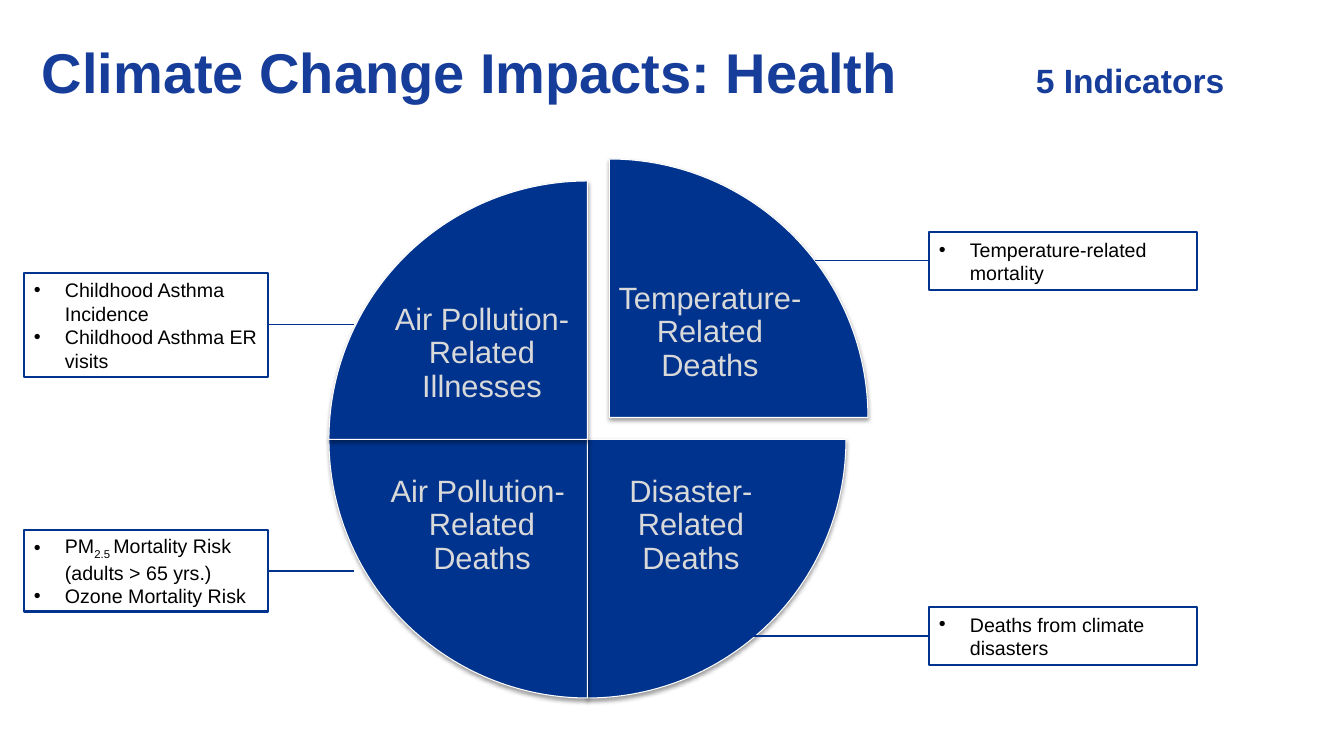
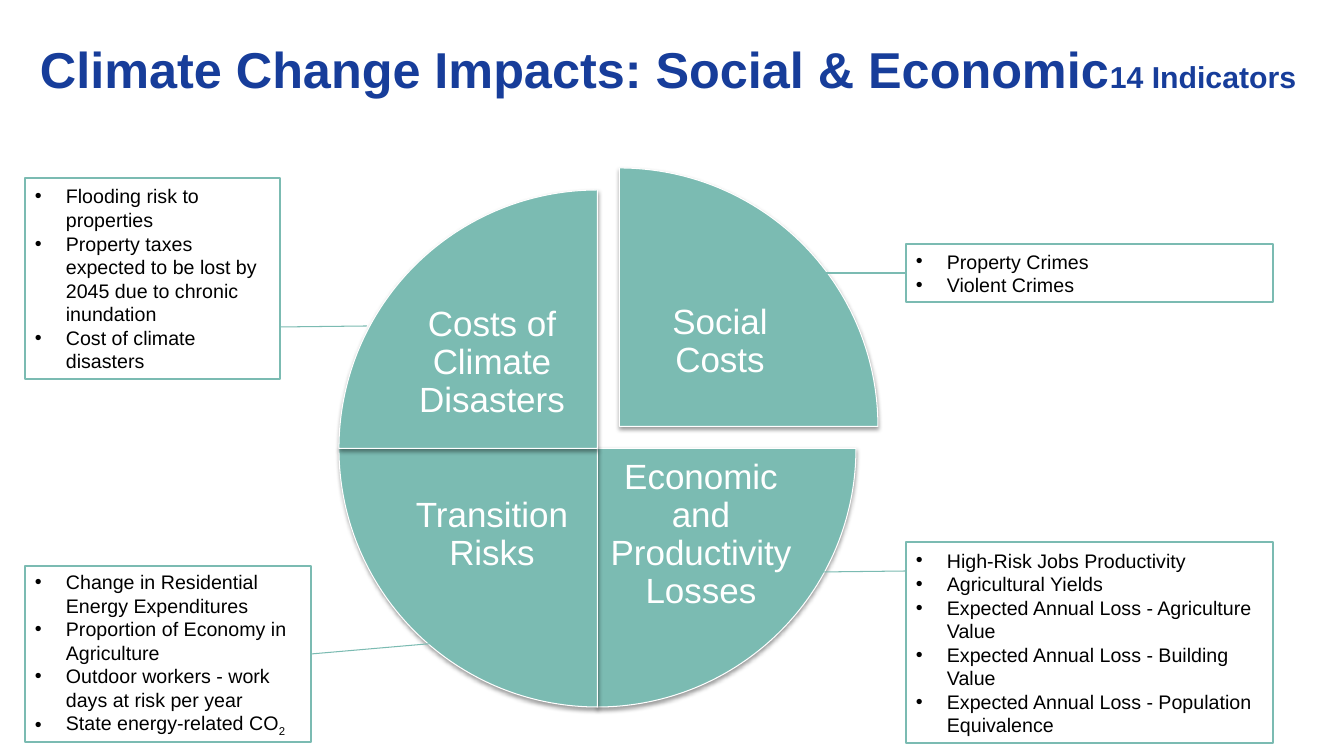
from lxml.etree import SubElement
from pptx import Presentation
from pptx.dml.color import RGBColor
from pptx.enum.shapes import MSO_CONNECTOR as Connector, MSO_SHAPE as Shape
from pptx.enum.text import MSO_ANCHOR as Anchor, PP_ALIGN as Align
from pptx.oxml.ns import qn
from pptx.util import Emu, Pt

# Shared style
SLIDE_W, SLIDE_H = 1344, 756
EMU_PER_PX = 12192000 / SLIDE_W
FONT = "Arial"
TITLE_BLUE = RGBColor(0x17, 0x3D, 0x9A)
NAVY = RGBColor(0x00, 0x33, 0x8D)
TEAL = RGBColor(0x7B, 0xBB, 0xB2)
PALE_GREY = RGBColor(0xD9, 0xD9, 0xD9)
WHITE = RGBColor(0xFF, 0xFF, 0xFF)
BLACK = RGBColor(0x00, 0x00, 0x00)

# Wheel geometry, clockwise from the pulled-out top right quarter
DIAMETER = 517
PULL = 22
LABEL_W, LABEL_H = 190, 154
LABEL_OFFSETS = [(286, 75), (267, 268), (58, 268), (58, 96)]
QUARTER_ANGLES = [(162, 0), (0, 54), (54, 108), (108, 162)]  # 54 = 90 degrees

LEFT_SIDE, RIGHT_SIDE = 1, 3
BULLET_INDENT = 31
COUNT_TAB = 994


def px(*lengths):
    return [Emu(round(length * EMU_PER_PX)) for length in lengths]


class ImpactDeck:
    def __init__(self):
        self.prs = Presentation()
        self.prs.slide_width, self.prs.slide_height = px(SLIDE_W, SLIDE_H)
        self.slide = None
        self.accent = None

    def new_slide(self, accent):
        self.slide = self.prs.slides.add_slide(self.prs.slide_layouts[6])
        self.accent = accent

    def run(self, paragraph, text, size, color, bold=False, subscript=False):
        run = paragraph.add_run()
        run.text = text
        font = run.font
        font.name, font.size, font.bold = FONT, Pt(size), bold
        font.color.rgb = color
        if subscript:
            run._r.get_or_add_rPr().set("baseline", "-25000")

    def text_frame(self, box, inset=None):
        frame = box.text_frame
        frame.word_wrap = True
        if inset is not None:
            frame.margin_left = frame.margin_right = inset
            frame.margin_top = frame.margin_bottom = inset
        return frame

    def title(self, left, top, heading, count, size):
        box = self.slide.shapes.add_textbox(*px(left, top, 1262, 76))
        line = self.text_frame(box, 0).paragraphs[0]
        line.line_spacing = 0.95
        if count.startswith("\t"):
            tabs = SubElement(line._p.get_or_add_pPr(), qn("a:tabLst"))
            SubElement(tabs, qn("a:tab"), pos=str(px(COUNT_TAB)[0]), algn="l")
        self.run(line, heading, size, TITLE_BLUE, bold=True)
        self.run(line, count, size * 0.6, TITLE_BLUE, bold=True)

    def quarter(self, left, top, angles):
        pie = self.slide.shapes.add_shape(
            Shape.PIE, *px(left, top, DIAMETER, DIAMETER))
        pie.adjustments[0], pie.adjustments[1] = angles
        pie.fill.solid()
        pie.fill.fore_color.rgb = self.accent
        pie.line.color.rgb = WHITE
        pie.line.width = Pt(0.75)
        # Soft shadow below the quarter
        pie.shadow.inherit = False
        effects = pie._element.spPr.find(qn("a:effectLst"))
        shadow = SubElement(effects, qn("a:outerShdw"), blurRad="40000",
                            dist="20000", dir="5400000", rotWithShape="0")
        black = SubElement(shadow, qn("a:srgbClr"), val="000000")
        SubElement(black, qn("a:alpha"), val="38000")

    def label(self, left, top, text, size, color):
        box = self.slide.shapes.add_textbox(*px(left, top, LABEL_W, LABEL_H))
        frame = self.text_frame(box, px(3)[0])
        frame.vertical_anchor = Anchor.MIDDLE
        paragraph = frame.paragraphs[0]
        paragraph.alignment = Align.CENTER
        paragraph.line_spacing = 0.9
        for i, part in enumerate(text.split("\n")):
            if i:
                paragraph.add_line_break()
            self.run(paragraph, part, size, color)

    def wheel(self, left, top, topics, size, color):
        quarters = zip(topics, QUARTER_ANGLES, LABEL_OFFSETS)
        for i, (topic, angles, (dx, dy)) in enumerate(quarters):
            pull = 0 if i else PULL
            self.quarter(left + pull, top - pull, angles)
            self.label(left + dx, top + dy, topic, size, color)

    def bullet(self, paragraph, text):
        """Write one bullet; every second part between bars is a subscript."""
        paragraph.alignment = Align.LEFT
        props = paragraph._p.get_or_add_pPr()
        indent = px(BULLET_INDENT)[0]
        props.set("marL", str(indent))
        props.set("indent", str(-indent))
        SubElement(props, qn("a:buFont"), typeface=FONT)
        SubElement(props, qn("a:buChar"), char="•")
        for i, part in enumerate(text.split("|")):
            self.run(paragraph, part, 14, BLACK, subscript=i % 2 == 1)

    def callout(self, area, indicators, tip, leader_y=None):
        """Indicator box with a leader to tip, from mid-side or leader_y."""
        left, top, width, height = area
        box = self.slide.shapes.add_shape(Shape.RECTANGLE, *px(*area))
        box.shadow.inherit = False
        box.fill.solid()
        box.fill.fore_color.rgb = WHITE
        box.line.color.rgb = self.accent
        box.line.width = Pt(2)
        frame = self.text_frame(box)
        frame.vertical_anchor = Anchor.MIDDLE
        for i, indicator in enumerate(indicators):
            paragraph = frame.add_paragraph() if i else frame.paragraphs[0]
            self.bullet(paragraph, indicator)

        # Leader line
        side = LEFT_SIDE if tip[0] < left else RIGHT_SIDE
        start_x = left if side == LEFT_SIDE else left + width
        start_y = leader_y or top + height // 2
        leader = self.slide.shapes.add_connector(
            Connector.STRAIGHT, *px(start_x, start_y, *tip))
        if leader_y is None:
            leader.begin_connect(box, side)
        leader.line.color.rgb = self.accent
        leader.line.width = Pt(0.75)
        SubElement(leader._element.spPr, qn("a:effectLst"))


def health(deck):
    deck.new_slide(NAVY)
    deck.title(42, 42, "Climate Change Impacts: Health", "\t5 Indicators", 40)
    deck.wheel(329, 181, [
        "Temperature-Related Deaths",
        "Disaster-Related Deaths",
        "Air Pollution- \nRelated Deaths",
        "Air Pollution-Related Illnesses",
    ], 22, PALE_GREY)
    deck.callout((929, 232, 268, 58), ["Temperature-related mortality"],
                 (815, 261))
    deck.callout((929, 607, 268, 58), ["Deaths from climate disasters"],
                 (751, 636))
    deck.callout((24, 530, 244, 82), [
        "PM|2.5 |Mortality Risk (adults > 65 yrs.)",
        "Ozone Mortality Risk",
    ], (354, 571))
    deck.callout((24, 273, 244, 104), [
        "Childhood Asthma Incidence",
        "Childhood Asthma ER visits",
    ], (354, 325))


def social_and_economic(deck):
    deck.new_slide(TEAL)
    deck.title(40, 43, "Climate Change Impacts: Social & Economic",
               "14 Indicators", 36)
    deck.wheel(339, 190, [
        "Social Costs",
        "Economic and Productivity Losses",
        "Transition Risks",
        "Costs of Climate Disasters",
    ], 25, WHITE)
    deck.callout((906, 244, 367, 58), ["Property Crimes", "Violent Crimes"],
                 (820, 273))
    deck.callout((906, 542, 367, 201), [
        "High-Risk Jobs Productivity",
        "Agricultural Yields",
        "Expected Annual Loss - Agriculture Value",
        "Expected Annual Loss - Building Value",
        "Expected Annual Loss - Population Equivalence",
    ], (820, 572), leader_y=571)
    deck.callout((25, 566, 286, 176), [
        "Change in Residential Energy Expenditures",
        "Proportion of Economy in Agriculture",
        "Outdoor workers - work days at risk per year",
        "State energy-related CO|2",
    ], (438, 643))
    deck.callout((25, 178, 255, 201), [
        "Flooding risk to properties",
        "Property taxes expected to be lost by 2045 due to chronic inundation",
        "Cost of climate disasters",
    ], (367, 326), leader_y=327)


def main():
    deck = ImpactDeck()
    health(deck)
    social_and_economic(deck)
    deck.prs.save("out.pptx")


if __name__ == "__main__":
    main()
